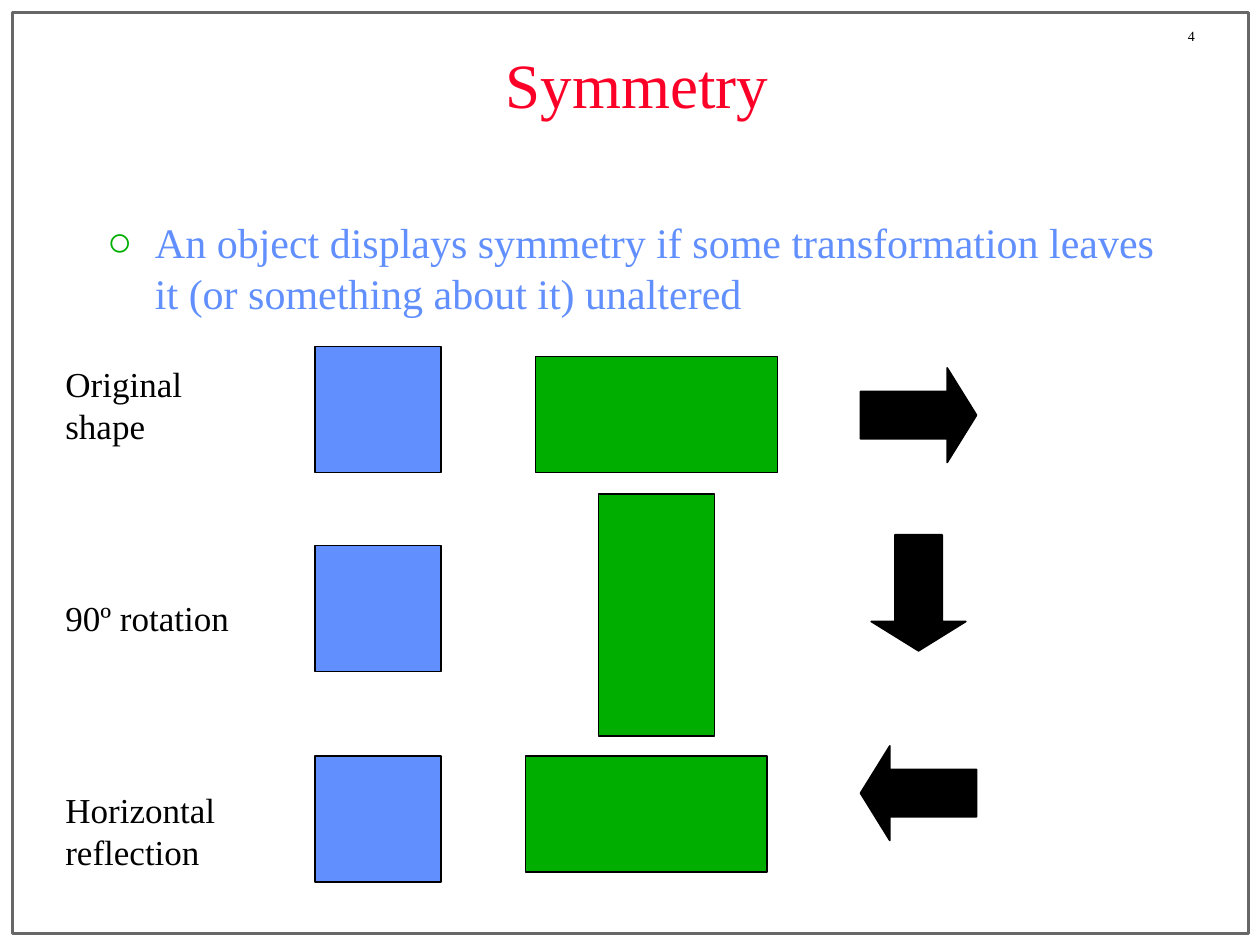
"""Build a slide on shapes that stay the same under transformations."""
from dataclasses import dataclass

from lxml import etree
from pptx import Presentation
from pptx.dml.color import RGBColor
from pptx.enum.shapes import MSO_SHAPE
from pptx.enum.text import MSO_ANCHOR, MSO_AUTO_SIZE, PP_ALIGN
from pptx.oxml.ns import qn
from pptx.util import Inches, Pt

RECT, ARROW = MSO_SHAPE.RECTANGLE, MSO_SHAPE.RIGHT_ARROW
LEFT, CENTER = PP_ALIGN.LEFT, PP_ALIGN.CENTER
TOP, MIDDLE = MSO_ANCHOR.TOP, MSO_ANCHOR.MIDDLE
FIXED = MSO_AUTO_SIZE.NONE
BLACK = RGBColor(0x00, 0x00, 0x00)
GRAY = RGBColor(0x67, 0x67, 0x67)
RED = RGBColor(0xFC, 0x01, 0x28)
BLUE = RGBColor(0x61, 0x8F, 0xFD)
GREEN = RGBColor(0x00, 0xAE, 0x00)
FONT = "Times New Roman"


@dataclass
class Kind:
    form: int
    width: float
    height: float
    fill: RGBColor | None
    edge: RGBColor = BLACK
    line: float = 1


@dataclass
class Item:
    kind: Kind
    left: float
    top: float
    turn: float = 0
    flip: bool = False


FRAME = Kind(RECT, 9.81, 7.31, None, GRAY, 2)
SQUARE = Kind(RECT, 1, 1, BLUE)
BLOCK = Kind(RECT, 1.92, 0.92, GREEN)
POINTER = Kind(ARROW, 0.92, 0.75, BLACK)
ITEMS = [
    Item(FRAME, 0.1, 0.1),
    Item(SQUARE, 2.5, 2.75),
    Item(BLOCK, 4.25, 2.83),
    Item(POINTER, 6.83, 2.92),
    Item(SQUARE, 2.5, 4.33),
    Item(BLOCK, 4.25, 4.42, turn=90),
    Item(POINTER, 6.83, 4.33, turn=90),
    Item(SQUARE, 2.5, 6),
    Item(BLOCK, 4.17, 6),
    Item(POINTER, 6.83, 5.92, flip=True),
]
LABELS = ["Original shape", "90º rotation", "Horizontal reflection"]


def draw(slide, item: Item) -> None:
    kind = item.kind
    shape = slide.shapes.add_shape(
        kind.form, Inches(item.left), Inches(item.top),
        Inches(kind.width), Inches(kind.height))
    shape.shadow.inherit = False
    shape.rotation = item.turn
    if kind.fill is None:
        shape.fill.background()
    else:
        shape.fill.solid()
        shape.fill.fore_color.rgb = kind.fill
    shape.line.color.rgb = kind.edge
    shape.line.width = Pt(kind.line)
    if kind.form == ARROW:
        shape.adjustments[1] = 0.31
    if item.flip:
        shape._element.spPr.xfrm.set("flipH", "1")


def place(shape, left: float, top: float, width: float, height: float) -> None:
    shape.left, shape.top = Inches(left), Inches(top)
    shape.width, shape.height = Inches(width), Inches(height)


def write(shape, lines: list[str], size: float, color: RGBColor,
          align=LEFT, anchor=TOP, gap: float = 0, wrap: bool = True) -> None:
    frame = shape.text_frame
    frame.word_wrap = wrap
    frame.auto_size = FIXED
    frame.vertical_anchor = anchor
    for i, line in enumerate(lines):
        para = frame.add_paragraph() if i else frame.paragraphs[0]
        para.alignment = align
        para.space_before = Pt(gap if i else 0)
        run = para.add_run()
        run.text = line
        run.font.name = FONT
        run.font.size = Pt(size)
        run.font.color.rgb = color


def mark(para, sign: str, color: RGBColor, indent: float) -> None:
    props = para._p.get_or_add_pPr()
    props.set("marL", str(Inches(indent)))
    props.set("indent", str(-Inches(indent)))
    tint = etree.SubElement(props, qn("a:buClr"))
    etree.SubElement(tint, qn("a:srgbClr"), val=str(color))
    etree.SubElement(props, qn("a:buFont"), typeface=FONT)
    etree.SubElement(props, qn("a:buChar"), char=sign)


def main() -> None:
    deck = Presentation()
    deck.slide_width, deck.slide_height = Inches(10), Inches(7.5)
    slide = deck.slides.add_slide(deck.slide_layouts[1])

    title, body = slide.placeholders
    place(title, 0.75, 0.17, 8.61, 0.99)
    write(title, ["Symmetry"], 36, RED, CENTER, MIDDLE)
    place(body, 0.75, 1.67, 8.75, 4.5)
    mark(body.text_frame.paragraphs[0], "○", GREEN, 0.38)
    write(body, ["An object displays symmetry if some transformation leaves "
                 "it (or something about it) unaltered"], 24, BLUE)

    for item in ITEMS:
        draw(slide, item)

    add = slide.shapes.add_textbox
    page = add(Inches(9.33), Inches(0.17), Inches(0.67), Inches(0.23))
    write(page, ["4"], 8, BLACK, wrap=False)
    names = add(Inches(0.42), Inches(2.83), Inches(1.75), Inches(4.15))
    write(names, LABELS, 20, BLACK, gap=85.5)
    deck.save("out.pptx")


if __name__ == "__main__":
    main()
